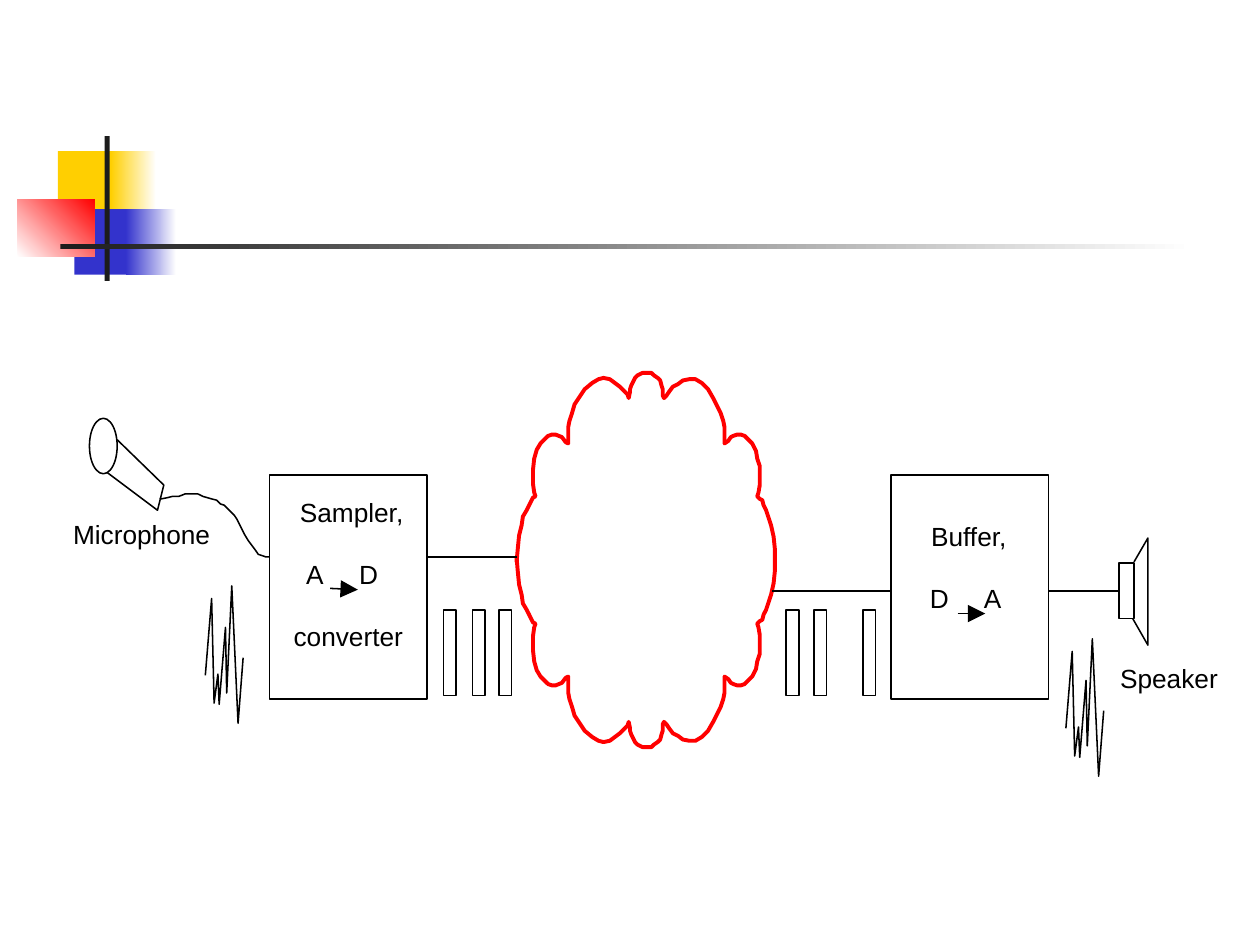
from dataclasses import dataclass
from typing import NamedTuple

from lxml.etree import SubElement as Sub
from pptx import Presentation
from pptx.dml.color import RGBColor as RGB
from pptx.enum.shapes import MSO_CONNECTOR as Conn, MSO_SHAPE as Kind
from pptx.oxml.ns import qn
from pptx.util import Emu, Pt

PX = 9144


@dataclass(frozen=True)
class Theme:
    ink: str = "000000"
    dark: str = "1C1C1C"
    white: str = "FFFFFF"
    gold: str = "FFCF01"
    blue: str = "3333CC"
    red: str = "FF0000"
    font: str = "Arial"
    size: int = 15
    thin: float = 0.88
    bold: float = 2.25


T = Theme()


class Box(NamedTuple):
    x: int
    y: int
    w: int
    h: int


class Block(NamedTuple):
    box: Box
    first: str
    last: str = ""
    angle: int = 0


class Label(NamedTuple):
    text: str
    box: Box
    tab: int = 0


class Wire(NamedTuple):
    x1: int
    y1: int
    x2: int
    y2: int
    arrow: bool = False


BLOCKS = [
    Block(Box(46, 120, 48, 52), T.gold),
    Block(Box(88, 120, 36, 52), T.gold, T.white),
    Block(Box(59, 166, 46, 52), T.blue),
    Block(Box(100, 166, 40, 52), T.blue, T.white),
    Block(Box(14, 158, 61, 46), T.white, T.red, 45),
    Block(Box(83, 108, 4, 115), T.dark),
    Block(Box(48, 194, 900, 4), T.dark, T.white),
]

CLOUD = [
    (410, 446), (411, 435), (412, 425), (414, 417), (415, 410), (418, 405),
    (420, 401), (422, 397), (423, 395), (425, 394), (424, 391), (423, 384),
    (423, 373), (424, 364), (426, 357), (429, 352), (432, 349), (435, 346),
    (438, 345), (441, 345), (446, 347), (449, 351), (451, 352), (451, 344),
    (451, 339), (452, 334), (454, 328), (456, 321), (460, 315), (464, 309),
    (470, 304), (475, 301), (479, 300), (484, 301), (488, 304), (492, 307),
    (495, 310), (498, 313), (499, 316), (500, 311), (500, 309), (501, 306),
    (503, 302), (504, 300), (506, 298), (510, 296), (513, 296), (517, 296),
    (519, 298), (522, 300), (524, 302), (525, 306), (526, 309), (526, 314),
    (527, 316), (529, 314), (531, 311), (534, 307), (538, 305), (542, 302),
    (547, 301), (552, 301), (557, 304), (562, 309), (566, 316), (569, 322),
    (572, 328), (574, 334), (575, 339), (575, 352), (578, 350), (580, 347),
    (582, 346), (585, 345), (588, 345), (591, 346), (594, 349), (597, 352),
    (600, 358), (601, 364), (603, 370), (603, 385), (602, 391), (601, 394),
    (603, 396), (605, 397), (606, 401), (608, 405), (610, 411), (612, 417),
    (614, 426), (615, 436), (615, 446),
]
FLIP = 889

CORD = [
    (127, 395), (128, 396), (133, 395), (137, 394), (142, 394), (147, 392),
    (157, 392), (161, 394), (168, 396), (172, 397), (175, 400), (178, 401),
    (183, 406), (186, 409), (188, 412), (191, 418), (194, 424), (197, 429),
    (200, 433), (203, 437), (205, 440), (208, 441), (211, 442), (214, 442),
]
HANDLE = [(85, 375), (125, 405), (130, 385), (93, 349)]
CONE = [(900, 446), (911, 427), (911, 512), (899, 491)]
WAVE = [
    (163, 536), (168, 475), (170, 558), (173, 535), (174, 559),
    (179, 498), (180, 550), (184, 465), (189, 574), (193, 522),
]
WAVES = [(0, 0), (683, 42)]
STAGES = [Box(x, 377, 125, 178) for x in (214, 707)]
PACKETS = [Box(x, 484, 10, 68) for x in (352, 375, 396, 624, 646, 685)]
SPEAKER = Box(888, 447, 12, 44)
MIC = Box(71, 332, 22, 44)

WIRES = [
    Wire(339, 442, 410, 442),
    Wire(613, 469, 707, 469),
    Wire(832, 469, 888, 469),
    Wire(262, 467, 284, 468, True),
    Wire(760, 487, 782, 487, True),
]

LABELS = [
    Label("Microphone", Box(58, 411, 115, 25)),
    Label("Speaker", Box(889, 526, 84, 25)),
    Label("Sampler,", Box(238, 394, 95, 25)),
    Label("A\tD", Box(243, 443, 70, 25), 42),
    Label("converter", Box(233, 492, 95, 25)),
    Label("Buffer,", Box(739, 413, 75, 25)),
    Label("D\tA", Box(738, 462, 70, 25), 43),
]


def emu(box) -> list[Emu]:
    return [Emu(n * PX) for n in box]


def rgb(code: str) -> RGB:
    return RGB.from_string(code)


def draw_block(shapes, block: Block) -> None:
    shape = shapes.add_shape(Kind.RECTANGLE, *emu(block.box))
    shape.shadow.inherit = False
    shape.line.fill.background()
    if block.last:
        shape.fill.gradient()
        shape.fill.gradient_angle = block.angle
        for stop, code in zip(shape.fill.gradient_stops, (block.first, block.last)):
            stop.color.rgb = rgb(code)
    else:
        shape.fill.solid()
        shape.fill.fore_color.rgb = rgb(block.first)


def ink(shape, code: str = T.ink, width: float = T.thin) -> None:
    shape.shadow.inherit = False
    shape.fill.background()
    shape.line.color.rgb = rgb(code)
    shape.line.width = Pt(width)


def draw_frame(shapes, box: Box, kind: Kind = Kind.RECTANGLE) -> None:
    ink(shapes.add_shape(kind, *emu(box)))


def draw_path(shapes, points: list, close: bool = False,
              code: str = T.ink, width: float = T.thin) -> None:
    pen = shapes.build_freeform(*points[0], scale=PX)
    pen.add_line_segments(points[1:], close=close)
    ink(pen.convert_to_shape(), code, width)


def draw_wire(shapes, wire: Wire) -> None:
    line = shapes.add_connector(Conn.STRAIGHT, *emu(wire[:4]))
    line.line.color.rgb = rgb(T.ink)
    line.line.width = Pt(T.thin)
    props = line._element.spPr
    if wire.arrow:
        Sub(props.find(qn("a:ln")), qn("a:tailEnd"), type="triangle", w="lg", len="lg")
    Sub(props, qn("a:effectLst"))


def draw_label(shapes, label: Label) -> None:
    frame = shapes.add_textbox(*emu(label.box)).text_frame
    frame.margin_left = frame.margin_right = 0
    frame.margin_top = frame.margin_bottom = 0
    frame.word_wrap = True
    frame.text = label.text
    para = frame.paragraphs[0]
    if label.tab:
        tabs = Sub(para._p.get_or_add_pPr(), qn("a:tabLst"))
        Sub(tabs, qn("a:tab"), pos=str(label.tab * PX), algn="l")
    for run in para.runs:
        run.font.name = T.font
        run.font.size = Pt(T.size)
        run.font.color.rgb = rgb(T.ink)


def main() -> None:
    deck = Presentation()
    deck.slide_width, deck.slide_height = emu((1000, 750))
    shapes = deck.slides.add_slide(deck.slide_layouts[6]).shapes
    for block in BLOCKS:
        draw_block(shapes, block)
    base = [(x, FLIP - y) for x, y in reversed(CLOUD)]
    draw_path(shapes, CLOUD + base, True, T.red, T.bold)
    draw_frame(shapes, MIC, Kind.OVAL)
    for points in (HANDLE, CORD, CONE):
        draw_path(shapes, points)
    for dx, dy in WAVES:
        draw_path(shapes, [(x + dx, y + dy) for x, y in WAVE])
    for box in STAGES + PACKETS + [SPEAKER]:
        draw_frame(shapes, box)
    for wire in WIRES:
        draw_wire(shapes, wire)
    for label in LABELS:
        draw_label(shapes, label)
    deck.save("out.pptx")


if __name__ == "__main__":
    main()
